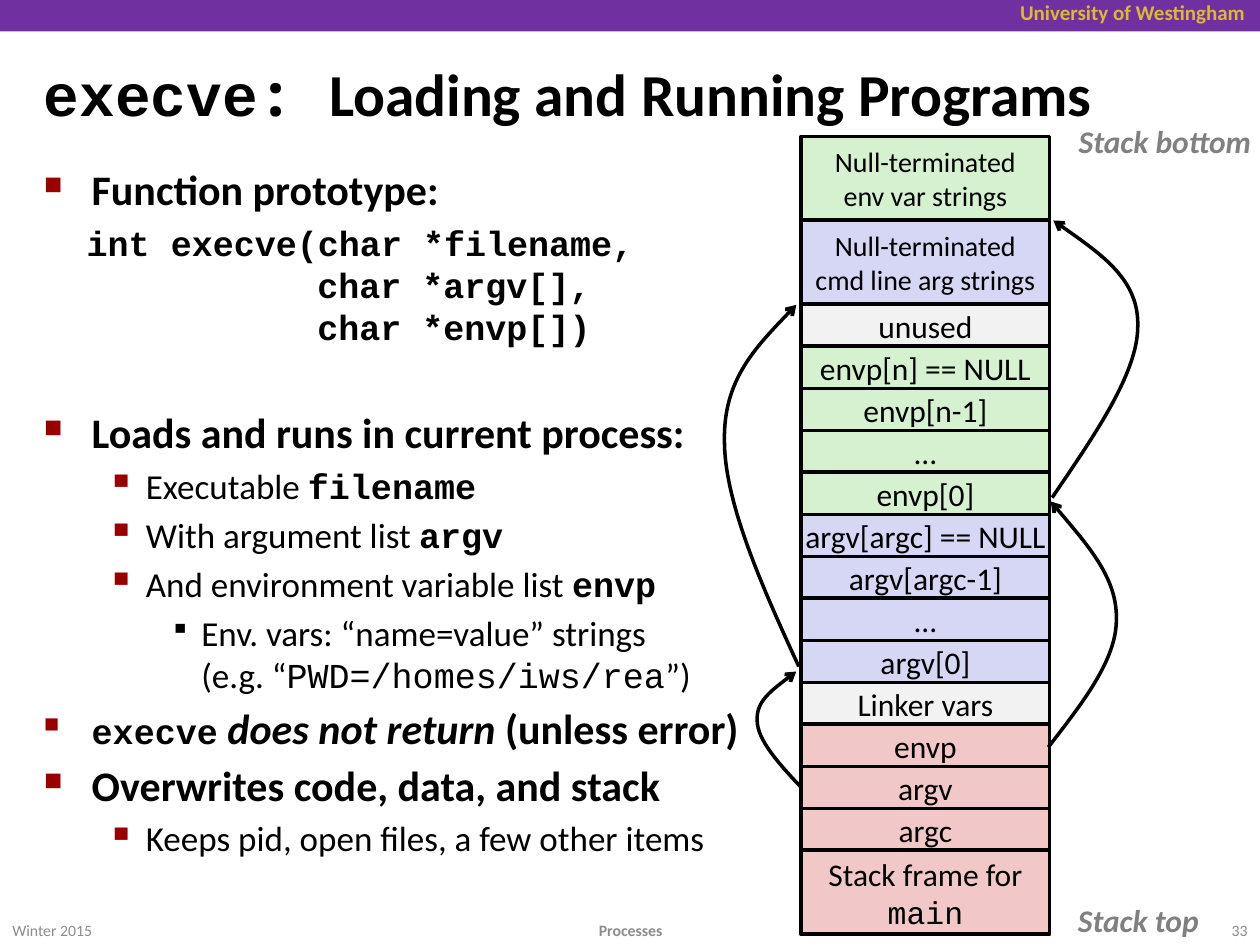
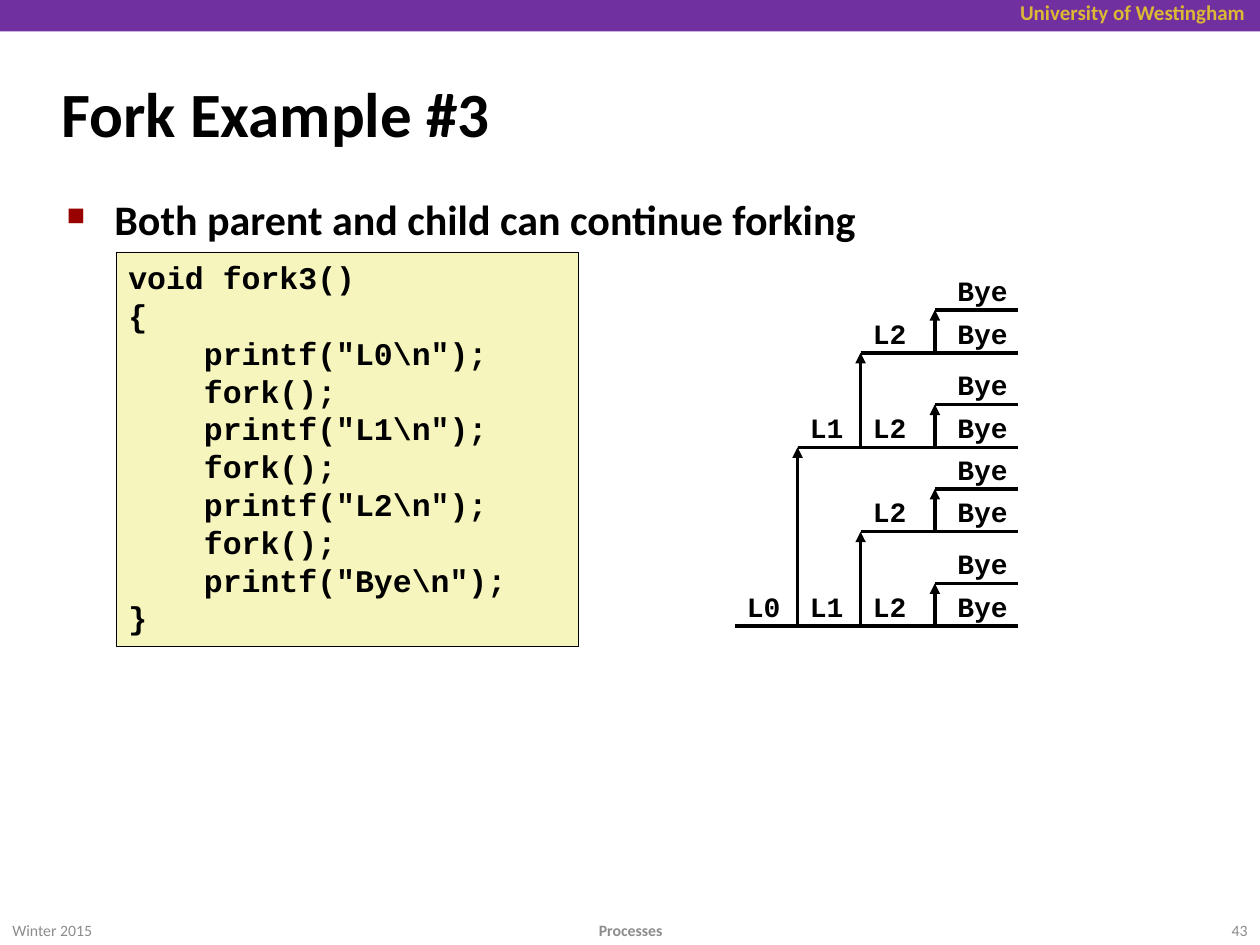
from dataclasses import dataclass

from lxml import etree
from pptx import Presentation
from pptx import util as u
from pptx.dml.color import RGBColor
from pptx.enum import shapes, text
from pptx.oxml.ns import qn

In, Pt = u.Inches, u.Pt
LEFT, CENTER, RIGHT = text.PP_ALIGN.LEFT, text.PP_ALIGN.CENTER, text.PP_ALIGN.RIGHT
TOP, MIDDLE = text.MSO_ANCHOR.TOP, text.MSO_ANCHOR.MIDDLE


@dataclass(frozen=True)
class Theme:
    sans: str = "Calibri"
    mono: str = "Courier New"
    symbol: str = "Noto Sans Mono"
    ink: str = "000000"
    band: str = "7030A0"
    gold: str = "DCB834"
    bullet: str = "990000"
    footer: str = "8C8C8C"
    label: str = "808080"
    env: str = "D5F1CF"
    arg: str = "D6D6F5"
    spare: str = "F2F2F2"
    frame: str = "F1C7C7"
    code: str = "F6F5BD"
    head_size: int = 24
    body_size: int = 20
    cell_size: int = 18
    small_size: int = 16
    band_size: int = 12
    footer_size: int = 9


T = Theme()

# Bullet levels: character, size in percent, colour, left margin, hanging indent
BULLETS = [
    ("■", 60, T.bullet, 0.38, 0.38),
    ("▪", 110, T.bullet, 0.81, 0.31),
    ("▪", 80, T.ink, 1.25, 0.25),
]


# Text
def add_run(p, words, size, font=T.sans, bold=False, italic=False, color=T.ink):
    r = p.add_run()
    r.text = words
    f = r.font
    f.name, f.size, f.bold, f.italic = font, Pt(size), bold, italic
    f.color.rgb = RGBColor.from_string(color)


def add_lines(p, lines, size, **style):
    for i, line in enumerate(lines):
        if i:
            p.add_line_break()
        add_run(p, line, size, **style)


def next_paragraph(tf):
    first = tf.paragraphs[0]
    return tf.add_paragraph() if first.runs else first


def set_indent(p, left, first=0.0):
    pPr = p._p.get_or_add_pPr()
    pPr.set("marL", str(In(left)))
    pPr.set("indent", str(In(first)))
    return pPr


def add_text(s, x, y, w, h, words="", size=T.body_size, align=LEFT, anchor=TOP,
             wrap=True, **style):
    tf = s.shapes.add_textbox(In(x), In(y), In(w), In(h)).text_frame
    tf.word_wrap, tf.vertical_anchor = wrap, anchor
    tf.paragraphs[0].alignment = align
    if words:
        add_run(tf.paragraphs[0], words, size, **style)
    return tf


def add_bullet(tf, level=0, before=4):
    p = next_paragraph(tf)
    p.space_before = Pt(before)
    char, percent, color, left, hang = BULLETS[level]
    pPr = set_indent(p, left, -hang)
    clr = etree.SubElement(pPr, qn("a:buClr"))
    etree.SubElement(clr, qn("a:srgbClr"), val=color)
    etree.SubElement(pPr, qn("a:buSzPct"), val=str(percent * 1000))
    etree.SubElement(pPr, qn("a:buChar"), char=char)
    return p


def add_heading(tf, words, before=4):
    add_run(add_bullet(tf, 0, before), words, T.head_size, bold=True)


def add_item(tf, words, code=""):
    p = add_bullet(tf, 1)
    add_run(p, words, T.body_size)
    if code:
        add_run(p, code, T.body_size, font=T.mono, bold=True)


# Shapes and lines
def add_box(s, x, y, w, h, fill, line_width=0.0):
    sp = s.shapes.add_shape(shapes.MSO_SHAPE.RECTANGLE, In(x), In(y), In(w), In(h))
    sp.shadow.inherit = False
    sp.fill.solid()
    sp.fill.fore_color.rgb = RGBColor.from_string(fill)
    if line_width:
        set_line(sp, line_width)
    else:
        sp.line.fill.background()
    return sp


def set_line(sp, width, head=None):
    sp.line.width = Pt(width)
    sp.line.color.rgb = RGBColor.from_string(T.ink)
    if head:
        etree.SubElement(sp.line._get_or_add_ln(), qn("a:tailEnd"), type=head)


def add_line(s, x1, y1, x2, y2, head=None):
    c = s.shapes.add_connector(shapes.MSO_CONNECTOR.STRAIGHT,
                               In(x1), In(y1), In(x2), In(y2))
    set_line(c, 2, head)
    etree.SubElement(c._element.spPr, qn("a:effectLst"))


def add_curved_arrow(s, start, *controls):
    """Draw a curve through Bezier points, three for each segment."""
    fb = s.shapes.build_freeform(In(start[0]), In(start[1]))
    fb.add_line_segments([(In(x), In(y)) for x, y in controls], close=False)
    sp = fb.convert_to_shape()
    sp.shadow.inherit = False
    sp.fill.background()
    set_line(sp, 2, "arrow")
    steps = sp._element.xpath(".//a:lnTo")
    outline = steps[0].getparent()
    for i in range(0, len(steps), 3):
        curve = etree.SubElement(outline, qn("a:cubicBezTo"))
        for step in steps[i:i + 3]:
            curve.append(step[0])
            outline.remove(step)


# Parts that every slide has
def new_slide(prs, number):
    s = prs.slides.add_slide(prs.slide_layouts[6])
    add_box(s, 0, 0, 10, 0.25, T.band)
    add_text(s, 7.33, -0.05, 2.65, 0.3, "University of Westingham", T.band_size, RIGHT,
             bold=True, color=T.gold)
    for x, w, words, align, bold in [(0, 3, "Winter 2015", LEFT, False),
                                     (3.42, 3.17, "Processes", CENTER, True),
                                     (9.33, 0.67, number, RIGHT, False)]:
        add_text(s, x, 7.18, w, 0.4, words, T.footer_size, align, MIDDLE,
                 bold=bold, color=T.footer)
    return s


def add_title(s, x, y, w, h, size, *runs):
    p = add_text(s, x, y, w, h, anchor=MIDDLE).paragraphs[0]
    for words, font in runs:
        add_run(p, words, size, font=font, bold=True)


# Slide: execve
def add_execve_notes(s):
    tf = add_text(s, 0.25, 1.25, 5.83, 5.92)
    add_heading(tf, "Function prototype:")
    p = next_paragraph(tf)
    p.space_before, p.line_spacing = Pt(4), Pt(1.2 * T.body_size)
    set_indent(p, 2.17, -1.83)
    add_lines(p, ["int execve(char *filename,", "char *argv[],", "char *envp[])"],
              T.body_size, font=T.mono, bold=True)

    add_heading(tf, "Loads and runs in current process:", before=34)
    add_item(tf, "Executable ", "filename")
    add_item(tf, "With argument list ", "argv")
    add_item(tf, "And environment variable list ", "envp")
    p = add_bullet(tf, 2)
    add_lines(p, ["Env. vars: “name=value” strings", "(e.g. “"], T.body_size)
    add_run(p, "PWD=/homes/iws/rea", T.body_size, font=T.mono)
    add_run(p, "”)", T.body_size)

    p = add_bullet(tf)
    add_run(p, "execve", T.body_size, font=T.mono, bold=True)
    add_run(p, " does not return", T.head_size, bold=True, italic=True)
    add_run(p, " (unless error)", T.head_size, bold=True)
    add_heading(tf, "Overwrites code, data, and stack")
    add_item(tf, "Keeps pid, open files, a few other items")


def add_stack(s):
    x, y, w, row = 6.36, 13 / 12, 1.97, 1 / 3
    cells = [
        (T.env, ["Null-terminated", "env var strings"]),
        (T.arg, ["Null-terminated", "cmd line arg strings"]),
        (T.spare, ["unused"]),
        *[(T.env, [c]) for c in ("envp[n] == NULL", "envp[n-1]", "…", "envp[0]")],
        *[(T.arg, [c]) for c in ("argv[argc] == NULL", "argv[argc-1]", "…", "argv[0]")],
        (T.spare, ["Linker vars"]),
        *[(T.frame, [c]) for c in ("envp", "argv", "argc")],
        (T.frame, ["Stack frame for", "main"]),
    ]
    for fill, lines in cells:
        h = row * len(lines)
        tf = add_box(s, x, y, w, h, fill, 2.25).text_frame
        tf.word_wrap, tf.vertical_anchor = False, MIDDLE
        size = T.small_size if lines[0] == "Null-terminated" else T.cell_size
        for line in lines:
            p = next_paragraph(tf)
            p.alignment = CENTER
            add_run(p, line, size, font=T.mono if line == "main" else T.sans)
        y += h

    for words, top, width in [("Stack bottom", 0.92, 1.65), ("Stack top", 7.1, 1.23)]:
        add_text(s, 8.42, top, width, 0.4, words, T.cell_size, CENTER, wrap=False,
                 bold=True, italic=True, color=T.label)

    # Pointers from stack entries to what they refer to
    add_curved_arrow(s, (6.36, 6.25), (6.18, 6.06), (6.01, 5.87), (6.01, 5.72),
                     (6, 5.57), (6.16, 5.45), (6.32, 5.33))
    add_curved_arrow(s, (6.34, 5.29), (6.04, 4.64), (5.75, 3.98), (5.75, 3.5),
                     (5.74, 3.02), (6.03, 2.72), (6.32, 2.42))
    add_curved_arrow(s, (8.32, 5.93), (8.59, 5.58), (8.86, 5.24), (8.86, 4.92),
                     (8.87, 4.59), (8.6, 4.29), (8.34, 3.98))
    add_curved_arrow(s, (8.35, 3.95), (8.69, 3.45), (9.03, 2.96), (9.03, 2.59),
                     (9.04, 2.22), (8.7, 1.99), (8.36, 1.75))


# Slide: fork
def add_fork_code(s):
    tf = add_box(s, 0.92, 2, 3.67, 3.13, T.code, 0.25).text_frame
    tf.word_wrap, tf.vertical_anchor = True, TOP
    body = ['printf("L0\\n");', "fork();", 'printf("L1\\n");', "fork();",
            'printf("L2\\n");', "fork();", 'printf("Bye\\n");']
    for line in ["void fork3()", "{", *body, "}"]:
        p = next_paragraph(tf)
        p.alignment, p.line_spacing = LEFT, Pt(1.2 * T.cell_size)
        set_indent(p, 0.6 if line in body else 0)
        add_run(p, line, T.cell_size, font=T.mono, bold=True)


FORK_X = [5.83, 6.33, 6.83, 7.42]
FORK_RISE = [1.42, 0.75, 0.34]


def add_process(s, y, level=0):
    """Draw one process line and, at each later fork, the child above it."""
    add_line(s, FORK_X[level], y, 8.08, y)
    labels = [(f"L{k}", FORK_X[k], 0.47) for k in range(level, 3)]
    for words, x, w in [*labels, ("Bye", 7.5, 0.6)]:
        add_text(s, x, y - 0.34, w, 0.37, words, T.small_size, wrap=False,
                 font=T.mono, bold=True)
    for k in range(level, 3):
        child_y = y - FORK_RISE[k]
        add_line(s, FORK_X[k + 1], y, FORK_X[k + 1], child_y, "triangle")
        add_process(s, child_y, k + 1)


def main():
    prs = Presentation()
    prs.slide_width, prs.slide_height = In(10), In(7.5)

    s = new_slide(prs, "33")
    add_title(s, 0.25, 0.42, 9.42, 0.63, 34, ("execve", T.mono), (": ", T.symbol),
              ("Loading and Running Programs", T.sans))
    add_execve_notes(s)
    add_stack(s)

    s = new_slide(prs, "43")
    add_title(s, 0.39, 0.48, 9.19, 0.83, 36, ("Fork Example #3", T.sans))
    add_heading(add_text(s, 0.43, 1.49, 9.15, 5.44),
                "Both parent and child can continue forking")
    add_fork_code(s)
    add_process(s, 4.97)

    prs.save("out.pptx")


if __name__ == "__main__":
    main()
